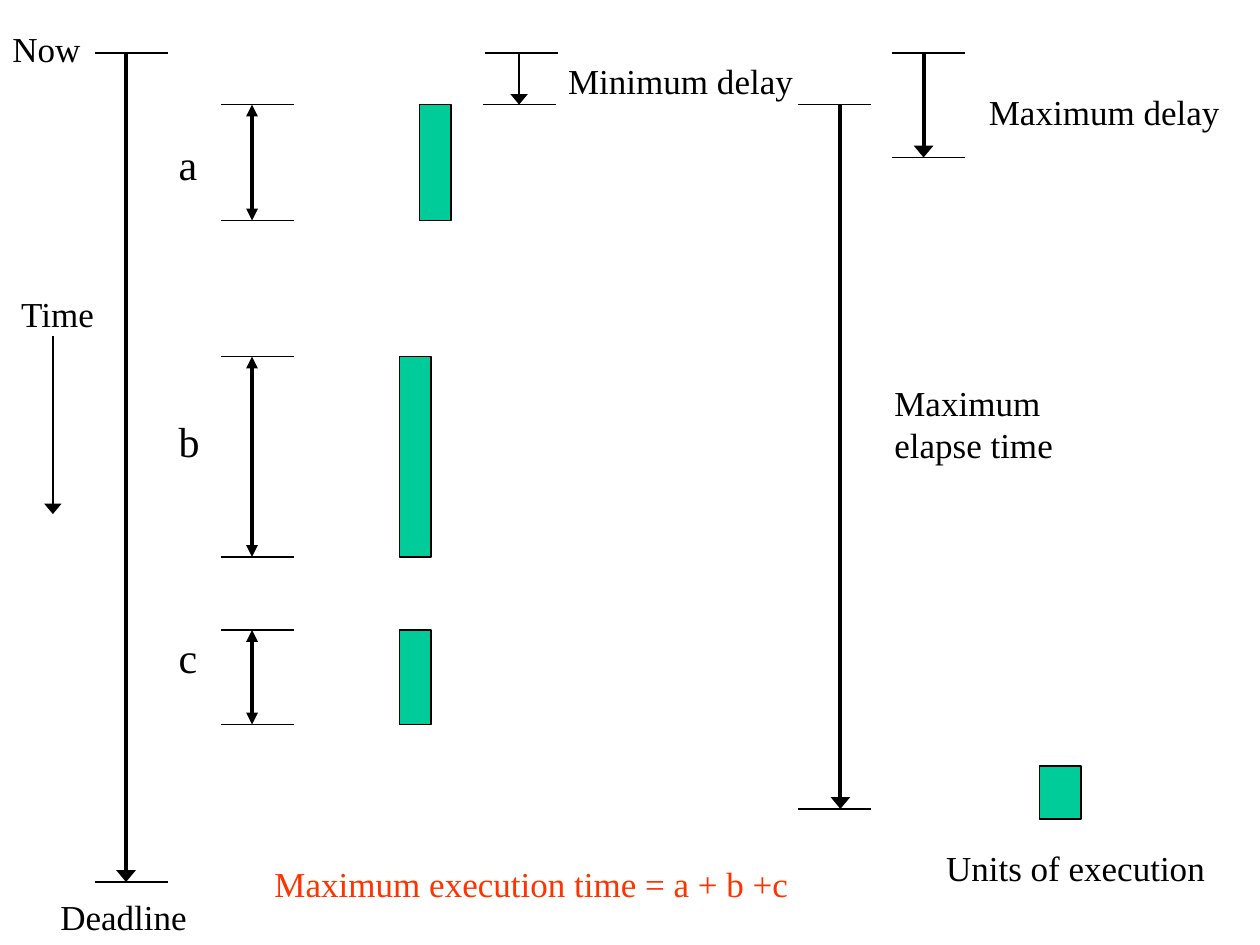
from dataclasses import dataclass

from lxml import etree
from pptx import Presentation
from pptx.dml.color import RGBColor
from pptx.enum.shapes import MSO_CONNECTOR, MSO_SHAPE
from pptx.enum.text import MSO_AUTO_SIZE, PP_ALIGN
from pptx.oxml.ns import qn
from pptx.util import Inches, Pt

STRAIGHT = MSO_CONNECTOR.STRAIGHT
RECTANGLE = MSO_SHAPE.RECTANGLE
FIT_SHAPE = MSO_AUTO_SIZE.SHAPE_TO_FIT_TEXT
LEFT = PP_ALIGN.LEFT

FONT = "Times New Roman"
BLACK, GREEN, RED = "000000", "00CC99", "FF3300"
THIN, THICK = 1, 2.25
TICK = 0.58
NOW, DEADLINE = 0.42, 7


@dataclass
class Span:
    x: float
    top: float
    bottom: float
    top_tick: float
    bottom_tick: float
    weight: float = THICK
    double: bool = False
    grouped: bool = False


@dataclass
class Bar:
    x: float
    top: float
    bottom: float
    width: float = 0.25


@dataclass
class Label:
    text: str
    x: float
    y: float
    width: float
    height: float = 0.44
    size: int = 20
    color: str = BLACK
    wrap: bool = False


UNITS = [
    ("a", 0.83, 1.75, 3.33, 1.05),
    ("b", 2.83, 4.42, 3.17, 3.25),
    ("c", 5, 5.75, 3.17, 4.96),
]

SPANS = [
    Span(1, NOW, DEADLINE, 0.75, 0.75, grouped=True),
    *[Span(2, top, bottom, 1.75, 1.75, double=True) for _, top, bottom, _, _ in UNITS],
    Span(4.12, NOW, 0.83, 3.85, 3.83, weight=THIN, grouped=True),
    Span(6.67, 0.83, 6.42, 6.33, 6.33),
    Span(7.33, NOW, 1.25, 7.08, 7.08, grouped=True),
]

BARS = [
    *[Bar(x, top, bottom) for _, top, bottom, x, _ in UNITS],
    Bar(8.25, 6.08, 6.5, 0.33),
]

LABELS = [
    Label("Now", 0, 0.17, 0.78),
    Label("Time", 0.07, 2.27, 0.83),
    Label("Deadline", 0.38, 7.06, 1.25),
    *[Label(name, 1.32, y, 0.38, 0.5, 24) for name, _, _, _, y in UNITS],
    Label("Minimum delay", 4.41, 0.42, 2.05),
    Label("Maximum delay", 7.75, 0.67, 2.1),
    Label("Maximum elapse time", 7, 2.98, 2, 0.77, wrap=True),
    Label("Units of execution", 7.41, 6.67, 2.32),
    Label("Maximum execution time = a + b +c", 2.08, 6.8, 4.35, color=RED),
]


def rgb(value: str) -> RGBColor:
    return RGBColor.from_string(value)


def add_line(shapes, x1: float, y1: float, x2: float, y2: float,
             weight: float = THIN, ends: tuple = ()) -> None:
    s = shapes.add_connector(STRAIGHT, Inches(x1), Inches(y1), Inches(x2), Inches(y2))
    s.line.color.rgb = rgb(BLACK)
    s.line.width = Pt(weight)
    ln = s.line._get_or_add_ln()
    head_width = "med" if len(ends) == 2 else "lg"
    for end in ends:
        etree.SubElement(ln, qn(f"a:{end}"), type="triangle", w=head_width, len="med")
    etree.SubElement(s._element.spPr, qn("a:effectLst"))


def add_span(shapes, span: Span) -> None:
    target = shapes.add_group_shape().shapes if span.grouped else shapes
    for x, y in ((span.top_tick, span.top), (span.bottom_tick, span.bottom)):
        add_line(target, x, y, x + TICK, y)
    ends = ("headEnd", "tailEnd") if span.double else ("tailEnd",)
    add_line(target, span.x, span.top, span.x, span.bottom, span.weight, ends)


def add_bar(shapes, bar: Bar) -> None:
    s = shapes.add_shape(RECTANGLE, Inches(bar.x), Inches(bar.top),
                         Inches(bar.width), Inches(bar.bottom - bar.top))
    s.shadow.inherit = False
    s.fill.solid()
    s.fill.fore_color.rgb = rgb(GREEN)
    s.line.color.rgb = rgb(BLACK)
    s.line.width = Pt(THIN)


def add_label(shapes, label: Label) -> None:
    s = shapes.add_textbox(Inches(label.x), Inches(label.y),
                           Inches(label.width), Inches(label.height))
    tf = s.text_frame
    tf.word_wrap = label.wrap
    tf.auto_size = FIT_SHAPE
    p = tf.paragraphs[0]
    p.alignment = LEFT
    r = p.add_run()
    r.text = label.text
    for name, value in {"name": FONT, "size": Pt(label.size)}.items():
        setattr(r.font, name, value)
    r.font.color.rgb = rgb(label.color)


def main() -> None:
    prs = Presentation()
    prs.slide_width, prs.slide_height = Inches(10), Inches(7.5)
    shapes = prs.slides.add_slide(prs.slide_layouts[6]).shapes
    for span in SPANS:
        add_span(shapes, span)
    for bar in BARS:
        add_bar(shapes, bar)
    for label in LABELS:
        add_label(shapes, label)
    add_line(shapes, 0.42, 2.67, 0.42, 4.08, ends=("tailEnd",))
    prs.save("out.pptx")


if __name__ == "__main__":
    main()
